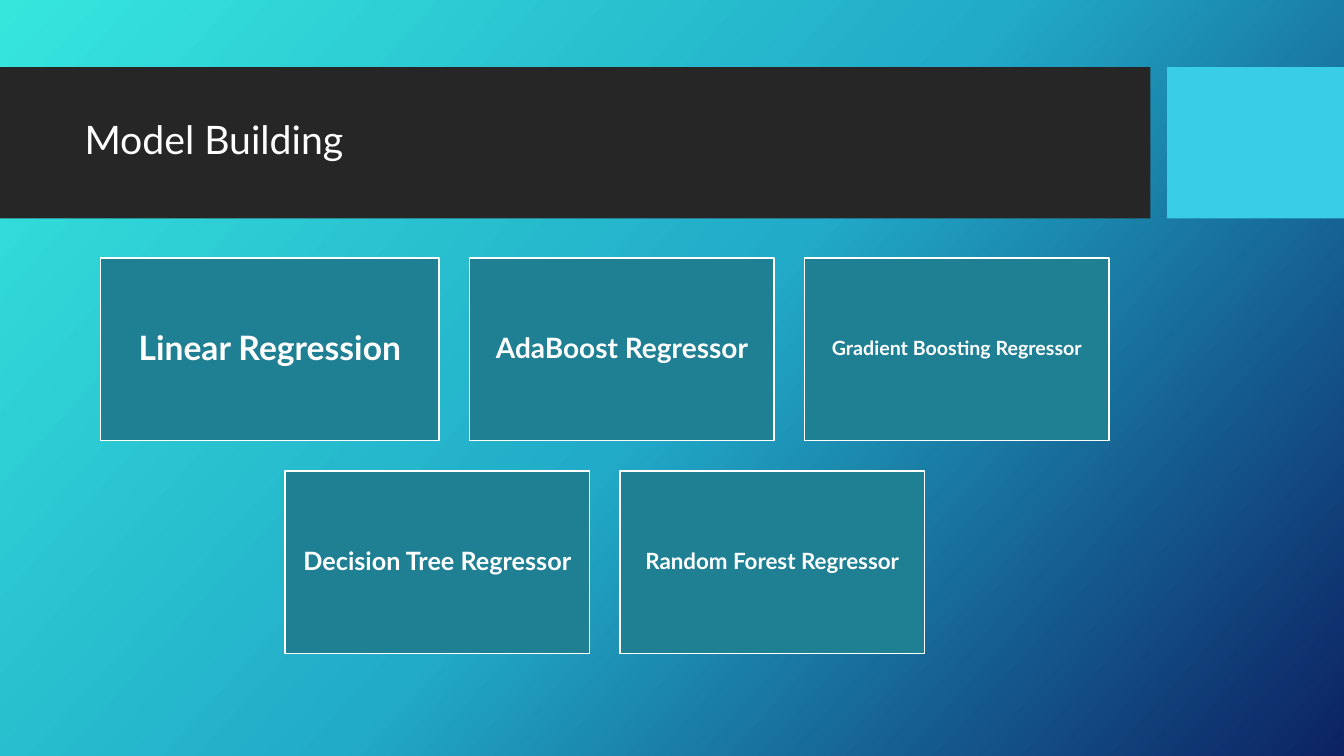
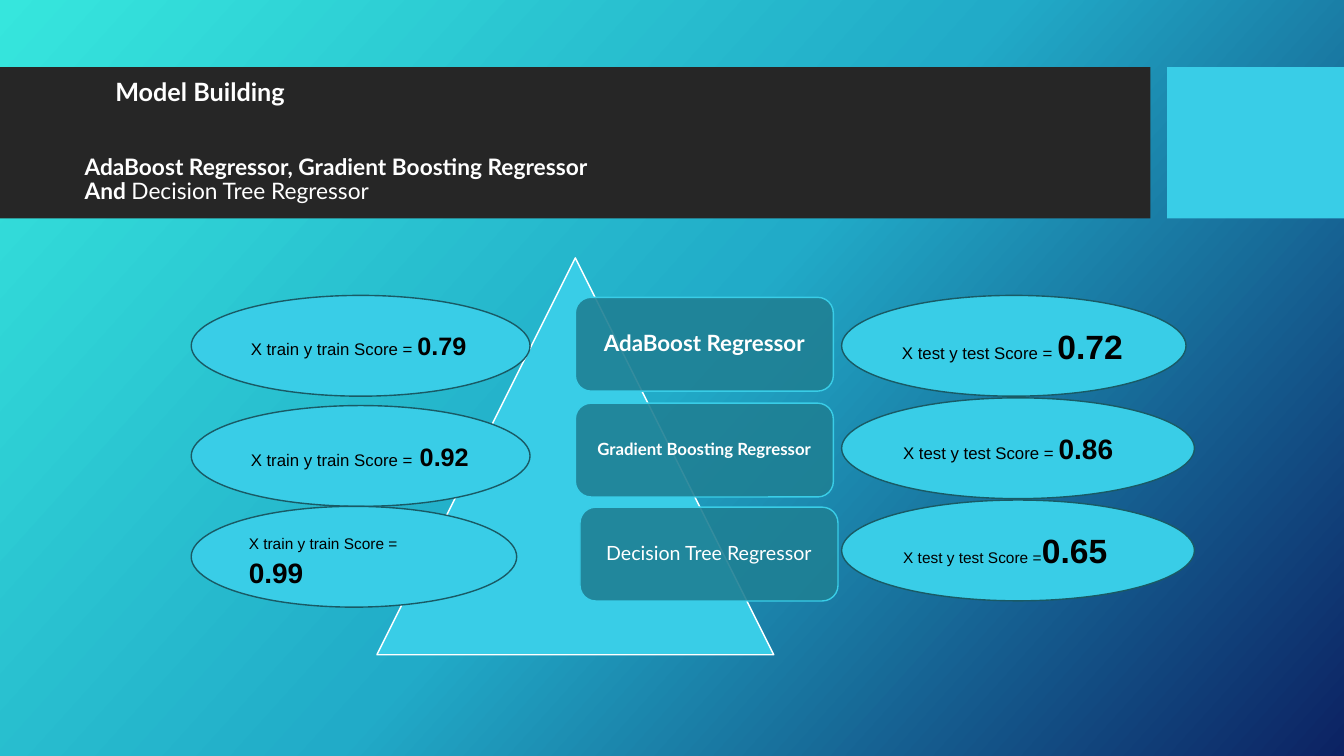
from dataclasses import dataclass

from lxml.etree import SubElement
from pptx import Presentation
from pptx.dml.color import RGBColor
from pptx.enum.shapes import MSO_SHAPE
from pptx.enum.text import MSO_ANCHOR, PP_ALIGN
from pptx.oxml.ns import qn
from pptx.util import Pt


@dataclass(frozen=True)
class Theme:
    gradient: tuple = ((0, "36E6DD"), (50, "21ABC8"), (100, "0C2263"))
    gradient_angle: int = 42
    band: str = "262626"
    accent: str = "39CDE7"
    card: str = "1F8094"
    outline: str = "195A65"
    white: str = "FFFFFF"
    black: str = "000000"
    heading_font: str = "Lato"
    body_font: str = "Arial"
    title: float = 28
    small_title: float = 18
    subtitle: float = 16.2


T = Theme()
SLIDE_W, SLIDE_H = 960, 540

# Content: runs are (text, size, bold)
MODELS_TITLE = [[("Model Building", T.title, False)]]
# Each card: text, size, width
MODEL_ROWS = [
    [("Linear Regression", 24, 242), ("AdaBoost Regressor", 20, 217.5),
     ("Gradient Boosting Regressor", 14, 217.5)],
    [("Decision Tree Regressor", 18, 217.5), ("Random Forest Regressor", 16, 217.5)],
]
SCORES_TITLE = [
    [("Model Building", T.small_title, True)],
    [("AdaBoost Regressor, Gradient Boosting Regressor", T.subtitle, True)],
    [("And ", T.subtitle, True), ("Decision Tree Regressor", T.subtitle, False)],
]
# Each pill: text, size, bold, left, top
PILLS = [
    ("AdaBoost Regressor", 16, True, 411, 212.4),
    ("Gradient Boosting Regressor", 12, True, 411, 288),
    ("Decision Tree Regressor", 14, False, 414.3, 362.3),
]
TRAIN, TEST = "X train y train Score =", "X test y test Score ="
# Each ellipse: top, width, runs
TRAIN_SCORES = [
    (211, 242, [(TRAIN + " ", 12, False), ("0.79", 18, True)]),
    (289.7, 242, [(TRAIN, 12, False), (" ", 18, False), ("0.92", 18, True)]),
    (361.7, 232.5, [(TRAIN, 11, False), (" ", 18, False), ("0.99", 20, True)]),
]
TEST_SCORES = [
    (211, 246, [(TEST + " ", 12, False), ("0.72", 24, True)]),
    (284.2, 252, [(TEST + " ", 12, False), ("0.86", 20, True)]),
    (357.2, 252, [(TEST, 11, False), ("0.65", 24, True)]),
]


# Shared helpers
def rgb(value):
    return RGBColor.from_string(value)


def add_runs(p, runs, font, color):
    for text, size, bold in runs:
        r = p.add_run()
        r.text = text
        r.font.name, r.font.size, r.font.bold = font, Pt(size), bold
        r.font.color.rgb = rgb(color)


def add_box(s, kind, left, top, width, height, fill, line=None, alpha=None):
    sp = s.shapes.add_shape(kind, Pt(left), Pt(top), Pt(width), Pt(height))
    sp.shadow.inherit = False
    sp.fill.solid()
    sp.fill.fore_color.rgb = rgb(fill)
    if alpha:
        color = sp.fill._xPr.find(qn("a:solidFill"))[0]
        SubElement(color, qn("a:alpha")).set("val", str(alpha * 1000))
    if line:
        sp.line.color.rgb = rgb(line)
        sp.line.width = Pt(1)
    else:
        sp.line.fill.background()
    return sp


def add_label(sp, text, size, bold=True):
    tf = sp.text_frame
    tf.word_wrap = True
    tf.vertical_anchor = MSO_ANCHOR.MIDDLE
    tf.margin_left = tf.margin_right = tf.margin_top = tf.margin_bottom = Pt(5)
    p = tf.paragraphs[0]
    p.alignment, p.line_spacing = PP_ALIGN.CENTER, 0.9
    add_runs(p, [(text, size, bold)], T.heading_font, T.white)


def paint_background(s):
    fill = s.background.fill
    fill.gradient()
    fill.gradient_angle = 360 - T.gradient_angle
    stops = fill._fill._gradFill.find(qn("a:gsLst"))
    for old in list(stops):
        stops.remove(old)
    for position, color in T.gradient:
        gs = SubElement(stops, qn("a:gs"))
        gs.set("pos", str(position * 1000))
        SubElement(gs, qn("a:srgbClr")).set("val", color)


def new_slide(prs, title):
    s = prs.slides.add_slide(prs.slide_layouts[6])
    paint_background(s)
    for left, width, color in ((0, 821.8, T.band), (833.6, 126.4, T.accent)):
        add_box(s, MSO_SHAPE.RECTANGLE, left, 48, width, 108, color)
    tf = s.shapes.add_textbox(Pt(53.3), Pt(59), Pt(756.7), Pt(85)).text_frame
    tf.word_wrap = True
    tf.vertical_anchor = MSO_ANCHOR.MIDDLE
    for i, runs in enumerate(title):
        p = tf.paragraphs[0] if i == 0 else tf.add_paragraph()
        p.line_spacing = 0.9
        add_runs(p, runs, T.heading_font, T.white)
    return s, tf


def build_models(prs):
    s, _ = new_slide(prs, MODELS_TITLE)
    gap, height, center = 21.8, 130.4, 432
    for i, row in enumerate(MODEL_ROWS):
        total = sum(width for _, _, width in row) + gap * (len(row) - 1)
        left, top = center - total / 2, 184.2 + i * (height + gap)
        for text, size, width in row:
            sp = add_box(s, MSO_SHAPE.RECTANGLE, left, top, width, height, T.card, T.white)
            add_label(sp, text, size)
            left += width + gap


def build_scores(prs):
    s, tf = new_slide(prs, SCORES_TITLE)
    heading, subtitle = tf.paragraphs[:2]
    heading._p.get_or_add_pPr().set("marL", str(Pt(22)))
    subtitle.space_before = Pt(35)

    # Pyramid with the model names
    add_box(s, MSO_SHAPE.ISOSCELES_TRIANGLE, 269.2, 184.2, 283.5, 283.5, T.accent, T.white)
    for text, size, bold, left, top in PILLS:
        sp = add_box(s, MSO_SHAPE.ROUNDED_RECTANGLE, left, top, 184.3, 67, T.card, T.accent, 90)
        add_label(sp, text, size, bold)

    # Score ellipses on both sides
    for left, scores in ((136.6, TRAIN_SCORES), (601.2, TEST_SCORES)):
        for top, width, runs in scores:
            sp = add_box(s, MSO_SHAPE.OVAL, left, top, width, 72, T.accent, T.outline)
            sp.text_frame.word_wrap = True
            sp.text_frame.vertical_anchor = MSO_ANCHOR.MIDDLE
            p = sp.text_frame.paragraphs[0]
            p.alignment = PP_ALIGN.LEFT
            add_runs(p, runs, T.body_font, T.black)


def main():
    prs = Presentation()
    prs.slide_width, prs.slide_height = Pt(SLIDE_W), Pt(SLIDE_H)
    build_models(prs)
    build_scores(prs)
    prs.save("out.pptx")


if __name__ == "__main__":
    main()
